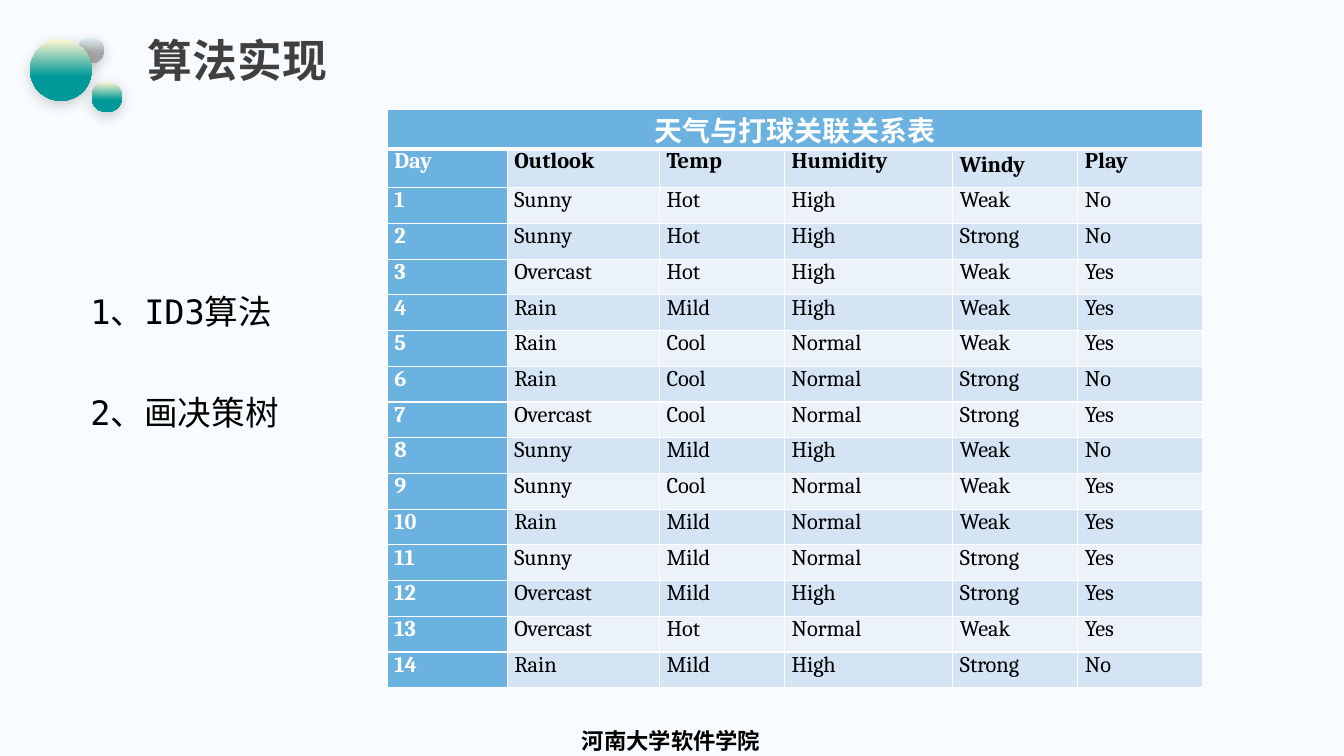
"""Build a slide with the weather and ball-game data set used for ID3 decision trees."""
from lxml.etree import SubElement
from pptx import Presentation
from pptx.dml.color import RGBColor
from pptx.enum.shapes import MSO_SHAPE
from pptx.enum.text import MSO_ANCHOR, PP_ALIGN
from pptx.oxml.ns import qn
from pptx.util import Cm, Pt

TITLE = "算法实现"
FOOTER = "河南大学软件学院"
STEPS = ["1、ID3算法", "2、画决策树"]
TABLE_TITLE = "天气与打球关联关系表"
HEADERS = ["Day", "Outlook", "Temp", "Humidity", "Windy", "Play"]
DAYS = [
    ("Sunny", "Hot", "High", "Weak", "No"),
    ("Sunny", "Hot", "High", "Strong", "No"),
    ("Overcast", "Hot", "High", "Weak", "Yes"),
    ("Rain", "Mild", "High", "Weak", "Yes"),
    ("Rain", "Cool", "Normal", "Weak", "Yes"),
    ("Rain", "Cool", "Normal", "Strong", "No"),
    ("Overcast", "Cool", "Normal", "Strong", "Yes"),
    ("Sunny", "Mild", "High", "Weak", "No"),
    ("Sunny", "Cool", "Normal", "Weak", "Yes"),
    ("Rain", "Mild", "Normal", "Weak", "Yes"),
    ("Sunny", "Mild", "Normal", "Strong", "Yes"),
    ("Overcast", "Mild", "High", "Strong", "Yes"),
    ("Overcast", "Hot", "Normal", "Weak", "Yes"),
    ("Rain", "Mild", "High", "Strong", "No"),
]
BUBBLES = [
    (1.96, 0.94, 0.66, "grey_bubble"),
    (2.31, 2.06, 0.77, "teal_bubble"),
    (0.76, 0.99, 1.55, "teal_bubble"),
]
COLUMN_WIDTHS = [3.02, 3.84, 3.15, 4.24, 3.15, 3.15]
ROW_HEIGHTS = [1, 0.98] + [0.9] * len(DAYS)

THEME = {
    "background": "F8FCFE",
    "text": "000000",
    "white": "FFFFFF",
    "accent": "6BB2E1",
    "bands": ("EBF2F9", "D4E4F4"),
    "title_gradient": ("404040", "808080"),
    "grey_bubble": ("E1F0F9", "A5A5A5"),
    "teal_bubble": ("FFF6CF", "009999"),
    "east_asian": "Noto Sans CJK SC",
    "title": {"name": "Noto Sans CJK SC", "size": Pt(32), "bold": True},
    "step": {"name": "DejaVu Sans Mono", "size": Pt(24)},
    "footer": {"name": "DejaVu Sans", "size": Pt(16), "bold": True},
    "table_title": {"name": "Cambria", "size": Pt(20), "bold": True},
    "strong_cell": {"name": "Cambria", "size": Pt(16), "bold": True},
    "cell": {"name": "Cambria", "size": Pt(16), "bold": False},
}


def apply(target, values):
    for name, value in values.items():
        setattr(target, name, value)


def paint(fill, color):
    fill.solid()
    fill.fore_color.rgb = RGBColor.from_string(color)


def paint_gradient(fill, colors, positions, angle):
    fill.gradient()
    fill.gradient_angle = angle
    for stop, color, position in zip(fill.gradient_stops, colors, positions):
        stop.color.rgb = RGBColor.from_string(color)
        stop.position = position


def write(paragraph, text, style, color=THEME["text"], **layout):
    run = paragraph.add_run()
    run.text = text
    apply(run.font, THEME[style])
    paint(run.font.fill, color)
    SubElement(run.font._element, qn("a:ea"), typeface=THEME["east_asian"])
    apply(paragraph, layout)
    return run


def add_box(slide, left, top, width, height, anchor=MSO_ANCHOR.TOP):
    box = slide.shapes.add_textbox(Cm(left), Cm(top), Cm(width), Cm(height))
    apply(box.text_frame, {"word_wrap": True, "vertical_anchor": anchor})
    return box.text_frame


def add_bubble(slide, left, top, size, colors):
    bubble = slide.shapes.add_shape(MSO_SHAPE.OVAL, Cm(left), Cm(top), Cm(size), Cm(size))
    bubble.line.fill.background()
    paint_gradient(bubble.fill, THEME[colors], (0.01, 0.6), 270)
    effects = SubElement(bubble._element.spPr, qn("a:effectLst"))
    shadow = SubElement(effects, qn("a:outerShdw"), blurRad=str(Pt(10)), dist=str(Pt(3)),
                        dir="5400000", algn="t", rotWithShape="0")
    color = SubElement(shadow, qn("a:srgbClr"), val=THEME["text"])
    SubElement(color, qn("a:alpha"), val="20000")


def add_borders(cell, bottom):
    properties = cell._tc.get_or_add_tcPr()
    for side, width in (("L", 1), ("R", 1), ("T", 1), ("B", bottom)):
        line = SubElement(properties, qn(f"a:ln{side}"), w=str(Pt(width)))
        fill = SubElement(line, qn("a:solidFill"))
        SubElement(fill, qn("a:srgbClr"), val=THEME["white"])


def fill_cell(cell, text, style, color, fill, bottom=1, **layout):
    apply(cell, {"margin_left": Cm(0.18), "margin_right": Cm(0.18),
                 "margin_top": Cm(0), "margin_bottom": Cm(0)})
    add_borders(cell, bottom)
    paint(cell.fill, fill)
    write(cell.text_frame.paragraphs[0], text, style, color, **layout)


def add_weather_table(slide):
    rows = [HEADERS] + [(str(day), *values) for day, values in enumerate(DAYS, 1)]
    table = slide.shapes.add_table(len(ROW_HEIGHTS), len(HEADERS), Cm(9.76), Cm(2.75),
                                   Cm(sum(COLUMN_WIDTHS)), Cm(sum(ROW_HEIGHTS))).table
    for column, width in zip(table.columns, COLUMN_WIDTHS):
        column.width = Cm(width)
    for row, height in zip(table.rows, ROW_HEIGHTS):
        row.height = Cm(height)
    table.cell(0, 0).merge(table.cell(0, len(HEADERS) - 1))
    fill_cell(table.cell(0, 0), TABLE_TITLE, "table_title", THEME["white"],
              THEME["accent"], bottom=3, alignment=PP_ALIGN.CENTER)
    for row_index, values in enumerate(rows, 1):
        for column_index, value in enumerate(values):
            is_day = column_index == 0
            fill_cell(table.cell(row_index, column_index), value,
                      "strong_cell" if is_day or row_index == 1 else "cell",
                      THEME["white"] if is_day else THEME["text"],
                      THEME["accent"] if is_day else THEME["bands"][row_index % 2])
    table.cell(1, HEADERS.index("Windy")).margin_top = Cm(0.08)


def main():
    presentation = Presentation()
    apply(presentation, {"slide_width": Cm(33.87), "slide_height": Cm(19.05)})
    slide = presentation.slides.add_slide(presentation.slide_layouts[6])
    paint(slide.background.fill, THEME["background"])

    footer = add_box(slide, 12.52, 18.21, 8.79, 0.84)
    write(footer.paragraphs[0], FOOTER, "footer", alignment=PP_ALIGN.CENTER)
    for bubble in BUBBLES:
        add_bubble(slide, *bubble)

    title = add_box(slide, 3.48, 0.84, 22.28, 1.5, MSO_ANCHOR.MIDDLE)
    run = write(title.paragraphs[0], TITLE, "title", line_spacing=0.9)
    paint_gradient(run.font.fill, THEME["title_gradient"], (0, 0.99), 90)

    steps = add_box(slide, 2.03, 7.21, 9.47, 5.61)
    for index, step in enumerate(STEPS):
        paragraph = steps.add_paragraph() if index else steps.paragraphs[0]
        write(paragraph, step, "step", space_before=Pt(43 if index else 0))

    add_weather_table(slide)
    presentation.save("out.pptx")


if __name__ == "__main__":
    main()
